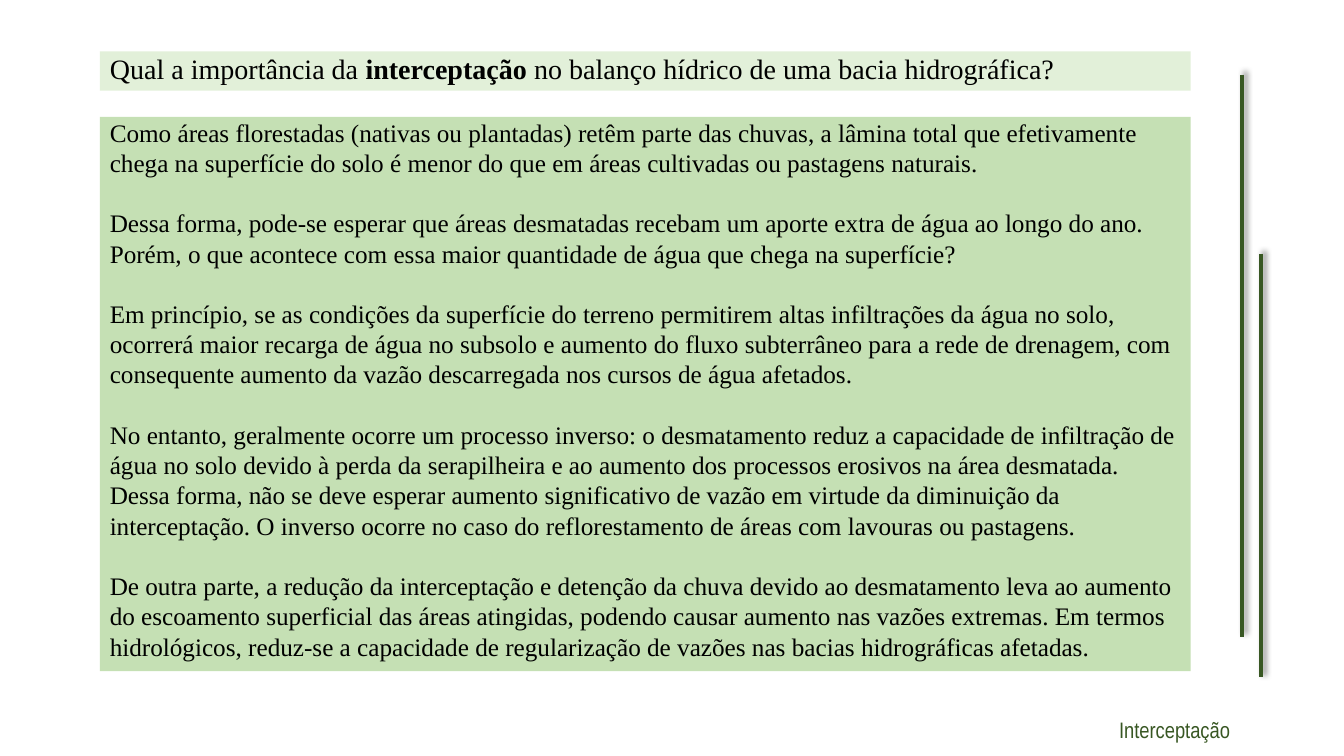
from lxml import etree
from pptx import Presentation, util as u
from pptx.dml.color import RGBColor
from pptx.enum import shapes, text
from pptx.oxml import parse_xml

DARK_GREEN = "385723"
PALE_GREEN = "E2F0D9"
SOFT_GREEN = "C5E0B4"
BLACK = "000000"
SERIF = "Times New Roman"
LEFT, WIDTH = 0.99, 10.82

QUESTION = [
    ("Qual a importância da ", False),
    ("interceptação", True),
    (" no balanço hídrico de uma bacia hidrográfica?", False),
]
ANSWER = [
    "Como áreas florestadas (nativas ou plantadas) retêm parte das chuvas, a lâmina total que "
    "efetivamente chega na superfície do solo é menor do que em áreas cultivadas ou pastagens naturais.",
    "Dessa forma, pode-se esperar que áreas desmatadas recebam um aporte extra de água ao longo do ano. "
    "Porém, o que acontece com essa maior quantidade de água que chega na superfície?",
    "Em princípio, se as condições da superfície do terreno permitirem altas infiltrações da água no solo, "
    "ocorrerá maior recarga de água no subsolo e aumento do fluxo subterrâneo para a rede de drenagem, "
    "com consequente aumento da vazão descarregada nos cursos de água afetados.",
    "No entanto, geralmente ocorre um processo inverso: o desmatamento reduz a capacidade de infiltração "
    "de água no solo devido à perda da serapilheira e ao aumento dos processos erosivos na área desmatada. "
    "Dessa forma, não se deve esperar aumento significativo de vazão em virtude da diminuição da "
    "interceptação. O inverso ocorre no caso do reflorestamento de áreas com lavouras ou pastagens.",
    "De outra parte, a redução da interceptação e detenção da chuva devido ao desmatamento leva ao aumento "
    "do escoamento superficial das áreas atingidas, podendo causar aumento nas vazões extremas. Em termos "
    "hidrológicos, reduz-se a capacidade de regularização de vazões nas bacias hidrográficas afetadas.",
]
SHADOW = (
    '<a:effectLst xmlns:a="http://schemas.openxmlformats.org/drawingml/2006/main">'
    '<a:outerShdw blurRad="50800" dist="38100" dir="18900000" algn="bl" rotWithShape="0">'
    '<a:srgbClr val="000000"><a:alpha val="40000"/></a:srgbClr></a:outerShdw></a:effectLst>'
)


def color(value):
    """Turn a hex string into a colour."""
    return RGBColor.from_string(value)


def apply(target, values):
    """Set attributes of an object from a dict."""
    for name, value in values.items():
        setattr(target, name, value)


def place(shape, left, top, width, height):
    """Position and size a shape in inches."""
    values = {"left": left, "top": top, "width": width, "height": height}
    apply(shape, {name: u.Inches(value) for name, value in values.items()})


def fill_panel(panel, fill):
    """Give a panel its fill and top-anchored text frame."""
    panel.fill.solid()
    panel.fill.fore_color.rgb = color(fill)
    apply(panel.text_frame, {
        "word_wrap": True, "auto_size": text.MSO_AUTO_SIZE.NONE,
        "vertical_anchor": text.MSO_ANCHOR.TOP,
        "margin_left": u.Inches(0.1), "margin_right": u.Inches(0.1),
        "margin_top": 0, "margin_bottom": u.Inches(0.05),
    })


def add_span(para, words, size, font=SERIF, ink=BLACK, bold=False):
    """Append a formatted run to a paragraph."""
    span = para.add_run()
    span.text = words
    apply(span.font, {"name": font, "size": u.Pt(size), "bold": bold})
    span.font.color.rgb = color(ink)


def add_question(page):
    """Format the title as the question panel."""
    title = page.shapes.title
    place(title, LEFT, 0.51, WIDTH, 0.39)
    fill_panel(title, PALE_GREEN)
    para = title.text_frame.paragraphs[0]
    apply(para, {"alignment": text.PP_ALIGN.LEFT, "line_spacing": u.Pt(24), "space_before": 0})
    for words, bold in QUESTION:
        add_span(para, words, 20, bold=bold)


def add_answer(page):
    """Add the panel with the answer paragraphs."""
    panel = page.shapes.add_shape(shapes.MSO_SHAPE.RECTANGLE, 0, 0, 0, 0)
    place(panel, LEFT, 1.16, WIDTH, 5.5)
    fill_panel(panel, SOFT_GREEN)
    panel.line.fill.background()
    panel.shadow.inherit = False
    frame = panel.text_frame
    for index, words in enumerate(ANSWER):
        para = frame.add_paragraph() if index else frame.paragraphs[0]
        apply(para, {
            "alignment": text.PP_ALIGN.LEFT, "line_spacing": u.Pt(21.6),
            "space_before": u.Pt(21.6 if index else 0),
        })
        add_span(para, words, 18)


def add_side_line(group, x, top, bottom):
    """Add a shadowed vertical line to the group."""
    line = group.shapes.add_connector(
        shapes.MSO_CONNECTOR.STRAIGHT, u.Inches(x), u.Inches(top), u.Inches(x), u.Inches(bottom))
    line.line.width = u.Pt(3)
    line.line.color.rgb = color(DARK_GREEN)
    line._element.spPr.append(parse_xml(SHADOW))


def add_topic(page):
    """Add the topic label at the foot of the page."""
    box = page.shapes.add_textbox(0, 0, 0, 0)
    place(box, 10.86, 7.06, 1.58, 0.37)
    box.text_frame.word_wrap = False
    para = box.text_frame.paragraphs[0]
    para.alignment = text.PP_ALIGN.CENTER
    add_span(para, "Interceptação", 16, "Arial Narrow", DARK_GREEN)


def main():
    """Build and save the slide."""
    deck = Presentation()
    apply(deck, {"slide_width": u.Inches(13.33), "slide_height": u.Inches(7.5)})
    page = deck.slides.add_slide(deck.slide_layouts[5])
    side_lines = page.shapes.add_group_shape()
    add_side_line(side_lines, 12.32, 0.74, 6.32)
    add_side_line(side_lines, 12.51, 2.52, 6.72)
    add_topic(page)
    add_question(page)
    add_answer(page)
    deck.save("out.pptx")


if __name__ == "__main__":
    main()
